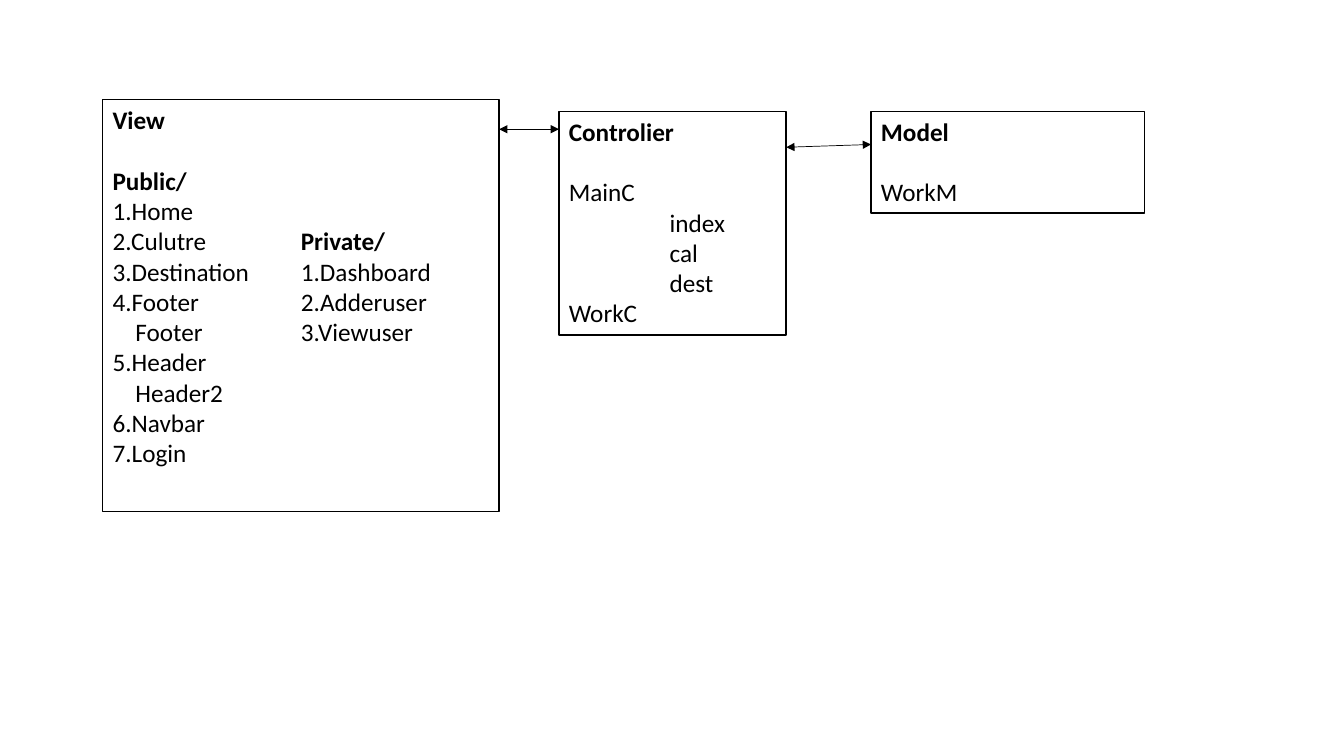
"""Draw the view, controller and model boxes of a web application."""
from lxml.etree import SubElement
from pptx import Presentation
from pptx.dml.color import RGBColor
from pptx.enum.shapes import MSO_CONNECTOR as Connector, MSO_SHAPE as Shape
from pptx.enum.text import MSO_ANCHOR as Anchor, PP_ALIGN as Align
from pptx.oxml.ns import qn
from pptx.util import Pt

LINE_HEIGHT = 21.6


def colour(value):
    return RGBColor.from_string(value)


def line(text, bold=False, indent=0, before=0):
    return dict(text=text, bold=bold, indent=indent, before=before)


class Diagram:
    font, size, ink, paper = "Calibri", 18, "000000", "FFFFFF"

    def __init__(self, page):
        self.page = page

    def fill_text(self, frame, lines):
        frame.word_wrap = True
        frame.vertical_anchor = Anchor.TOP
        for number, item in enumerate(lines):
            para = frame.add_paragraph() if number else frame.paragraphs[0]
            para.alignment = Align.LEFT
            para.space_before = Pt(item["before"])
            if item["indent"]:
                para._p.get_or_add_pPr().set("marL", str(Pt(item["indent"])))
            span = para.add_run()
            span.text = item["text"]
            span.font.name = self.font
            span.font.size = Pt(self.size)
            span.font.bold = item["bold"]
            span.font.color.rgb = colour(self.ink)

    def box(self, left, top, width, height, lines):
        box = self.page.shapes.add_shape(
            Shape.RECTANGLE, Pt(left), Pt(top), Pt(width), Pt(height))
        box.shadow.inherit = False
        box.fill.solid()
        box.fill.fore_color.rgb = colour(self.paper)
        box.line.color.rgb = colour(self.ink)
        box.line.width = Pt(1)
        self.fill_text(box.text_frame, lines)

    def text(self, left, top, width, height, lines):
        box = self.page.shapes.add_textbox(
            Pt(left), Pt(top), Pt(width), Pt(height))
        self.fill_text(box.text_frame, lines)

    def double_arrow(self, start_x, start_y, end_x, end_y):
        arrow = self.page.shapes.add_connector(
            Connector.STRAIGHT, Pt(start_x), Pt(start_y), Pt(end_x), Pt(end_y))
        arrow.line.color.rgb = colour(self.ink)
        arrow.line.width = Pt(0.5)
        outline = arrow.line._get_or_add_ln()
        for end in ("a:headEnd", "a:tailEnd"):
            SubElement(outline, qn(end), type="triangle")
        SubElement(arrow._element.spPr, qn("a:effectLst"))


def main():
    deck = Presentation()
    deck.slide_width, deck.slide_height = Pt(960), Pt(540)
    diagram = Diagram(deck.slides.add_slide(deck.slide_layouts[6]))

    view_top = 71.3
    diagram.box(73.3, view_top, 283.2, 294, [
        line("View", bold=True),
        line("Public/", bold=True, before=LINE_HEIGHT),
        line("1.Home"), line("2.Culutre"), line("3.Destination"),
        line("4.Footer"), line("Footer", indent=16.3),
        line("5.Header"), line("Header2", indent=16.3),
        line("6.Navbar"), line("7.Login")])
    diagram.text(207.8, view_top + 4 * LINE_HEIGHT, 140, 93.6, [
        line("Private/", bold=True),
        line("1.Dashboard"), line("2.Adderuser"), line("3.Viewuser")])

    diagram.box(399.3, 79.5, 162.3, 159.8, [
        line("Controlier", bold=True),
        line("MainC", before=LINE_HEIGHT),
        *[line(action, indent=72) for action in ("index", "cal", "dest")],
        line("WorkC")])
    diagram.box(622.2, 79.5, 195.2, 72.7, [
        line("Model", bold=True),
        line("WorkM", before=LINE_HEIGHT)])

    diagram.double_arrow(356.5, 92.3, 399.3, 92.3)
    diagram.double_arrow(561.6, 105.2, 622.2, 103.2)
    deck.save("out.pptx")


if __name__ == "__main__":
    main()
